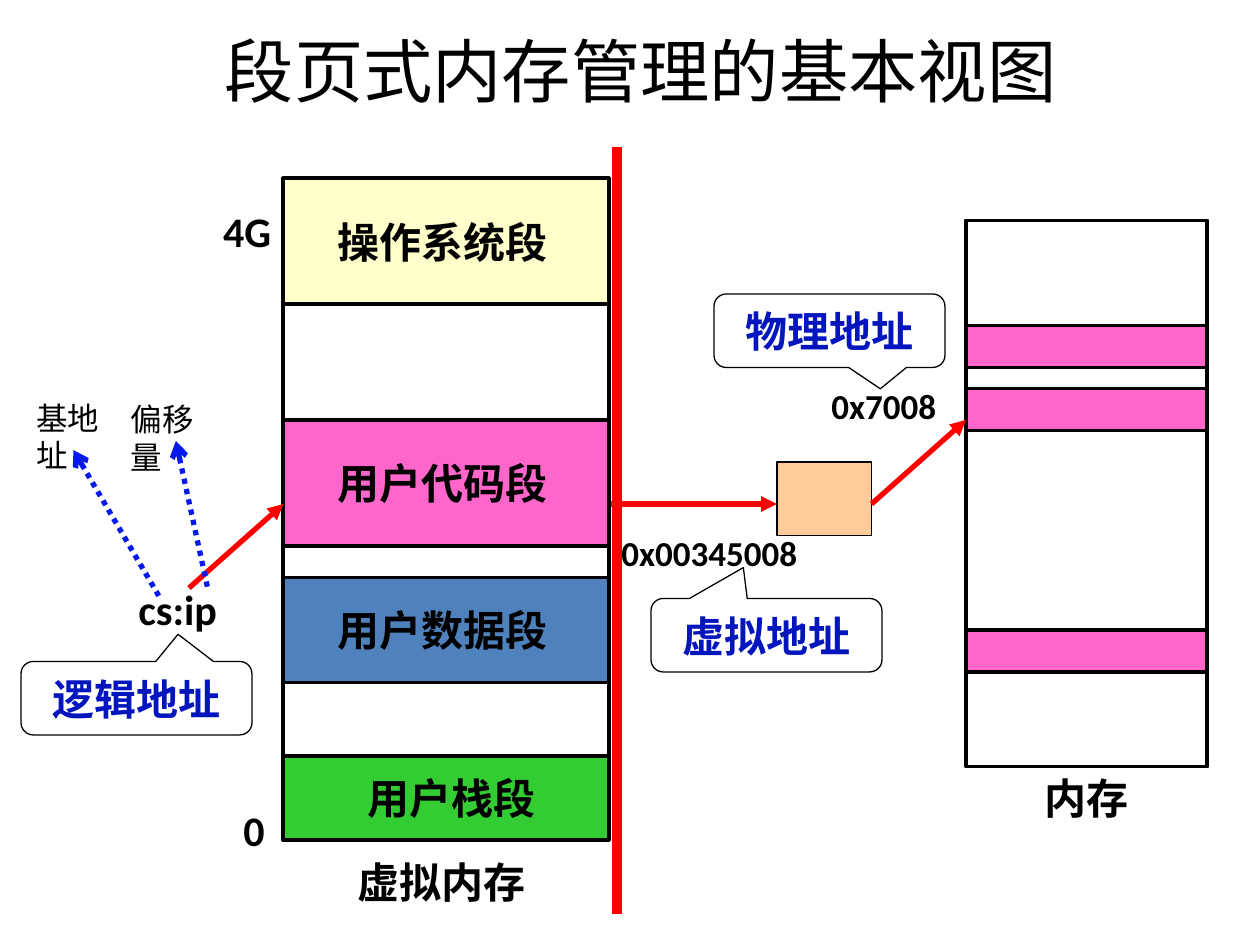
import pptx
import pptx.util
import pptx.dml.color
import pptx.enum.dml
import pptx.enum.shapes
import pptx.enum.text
import pptx.oxml

THEME = {
    "latin": "Calibri", "cjk": "Noto Sans CJK SC",
    "title": 39.6, "label": 24, "address": 20, "note": 18,
    "ink": "000000", "paper": "FFFFFF", "blue": "0315BD", "dots": "041AEA",
    "red": "FF0000", "os": "FFFFCC", "code": "FF66CC", "data": "4F81BD",
    "stack": "33CC33", "table": "FFCC99",
}
PX = 9525  # EMU in one px, 96 px to the inch
SHAPE = pptx.enum.shapes.MSO_SHAPE
ALIGN = pptx.enum.text.PP_ALIGN
MIDDLE = pptx.enum.text.MSO_ANCHOR.MIDDLE
NS = 'xmlns:a="http://schemas.openxmlformats.org/drawingml/2006/main"'

prs = pptx.Presentation()
prs.slide_width, prs.slide_height = 960 * PX, 720 * PX
s = prs.slides.add_slide(prs.slide_layouts[6])


def add_box(box, text="", kind=None, fill=None, line=2.25, size="label", color="ink",
            bold=True, font="latin", align=ALIGN.LEFT, anchor=None, wrap=True):
    """Add a text box, or a preset shape when kind is given."""
    place = [v * PX for v in box]
    if kind is None:
        sp = s.shapes.add_textbox(*place)
    else:
        sp = s.shapes.add_shape(kind, *place)
        sp.shadow.inherit = False
        if fill:
            sp.fill.solid()
            sp.fill.fore_color.rgb = pptx.dml.color.RGBColor.from_string(THEME[fill])
        else:
            sp.fill.background()
        sp.line.color.rgb = pptx.dml.color.RGBColor.from_string(THEME["ink"])
        sp.line.width = pptx.util.Pt(line)
    if text:
        tf = sp.text_frame
        tf.word_wrap = wrap
        tf.vertical_anchor = anchor
        p = tf.paragraphs[0]
        p.alignment = align
        r = p.add_run()
        r.text = text
        style = {"name": THEME[font], "size": pptx.util.Pt(THEME[size]), "bold": bold}
        for key, value in style.items():
            setattr(r.font, key, value)
        r.font.color.rgb = pptx.dml.color.RGBColor.from_string(THEME[color])
        east = pptx.oxml.parse_xml(f'<a:ea {NS} typeface="{THEME["cjk"]}"/>')
        r.font._element.find(pptx.oxml.ns.qn("a:latin")).addnext(east)
    return sp


def add_line(points, color="red", width=3, head="triangle", dash=None):
    c = s.shapes.add_connector(pptx.enum.shapes.MSO_CONNECTOR.STRAIGHT,
                               *[v * PX for v in points])
    c.line.color.rgb = pptx.dml.color.RGBColor.from_string(THEME[color])
    c.line.width = pptx.util.Pt(width)
    if dash:
        c.line.dash_style = dash
    if head:
        c.line._get_or_add_ln().append(pptx.oxml.parse_xml(f'<a:tailEnd {NS} type="{head}"/>'))
    c._element.spPr.append(pptx.oxml.parse_xml(f"<a:effectLst {NS}/>"))


# Title
add_box((40, 18, 896, 71), "段页式内存管理的基本视图", size="title", bold=False,
        font="cjk", align=ALIGN.CENTER, anchor=MIDDLE)

# Addresses
add_line((464, 384, 592, 384))
add_box((96, 440, 104, 48), "cs:ip")
add_box((464, 400, 208, 42), "0x00345008", size="address")

# Address callouts: left, top, name, pointer tip
for x, y, name, tip in [(16, 504, "逻辑地址", (0.18, -0.87)),
                        (496, 456, "虚拟地址", (-0.1, -0.92)),
                        (544, 224, "物理地址", (0.22, 0.79))]:
    sp = add_box((x, y, 176, 56), name, SHAPE.ROUNDED_RECTANGULAR_CALLOUT, "paper", 0.75,
                 color="blue", align=ALIGN.CENTER, anchor=MIDDLE)
    sp.adjustments[0], sp.adjustments[1] = tip
add_box((624, 288, 120, 42), "0x7008", size="address")

# Physical memory with its page frames
add_box((736, 168, 184, 416), kind=SHAPE.RECTANGLE)
for y in (248, 296, 480):
    add_box((736, y, 184, 32), kind=SHAPE.RECTANGLE, fill="code")
add_box((736, 584, 184, 49), "内存", align=ALIGN.CENTER)

# Virtual memory with its segments: top, height, fill, label top, name, alignment
add_box((216, 136, 248, 504), kind=SHAPE.RECTANGLE)
for y, h, fill, text_y, name, align in [
        (136, 96, "os", 160, "操作系统段", ALIGN.LEFT),
        (320, 96, "code", 344, "用户代码段", ALIGN.LEFT),
        (440, 80, "data", 456, "用户数据段", ALIGN.LEFT),
        (576, 64, "stack", 584, "用户栈段", ALIGN.CENTER)]:
    add_box((216, y, 248, h), kind=SHAPE.RECTANGLE, fill=fill)
    add_box((248, text_y, 192, 49), name, align=align)
add_box((80, 152, 136, 49), "4G", align=ALIGN.RIGHT)
add_box((176, 608, 40, 49), "0")
add_box((211, 648, 251, 49), "虚拟内存", align=ALIGN.CENTER)

# Page table and the translation arrows
add_box((592, 352, 72, 56), kind=SHAPE.RECTANGLE, fill="table", line=0.75)
add_line((144, 448, 216, 384))
add_line((664, 384, 736, 320))

# Divider between the two memories
add_line((470, 112, 470, 696), width=6, head=None)

# Parts of the logical address
for points, x, y, name in [((121, 454, 56, 343), 18, 299, "基地址"),
                           ((158, 447, 134, 336), 90, 300, "偏移量")]:
    add_line(points, "dots", head="arrow", dash=pptx.enum.dml.MSO_LINE.ROUND_DOT)
    add_box((x, y, 89, 37), name, size="note", bold=False, font="cjk", wrap=False)

prs.save("out.pptx")
